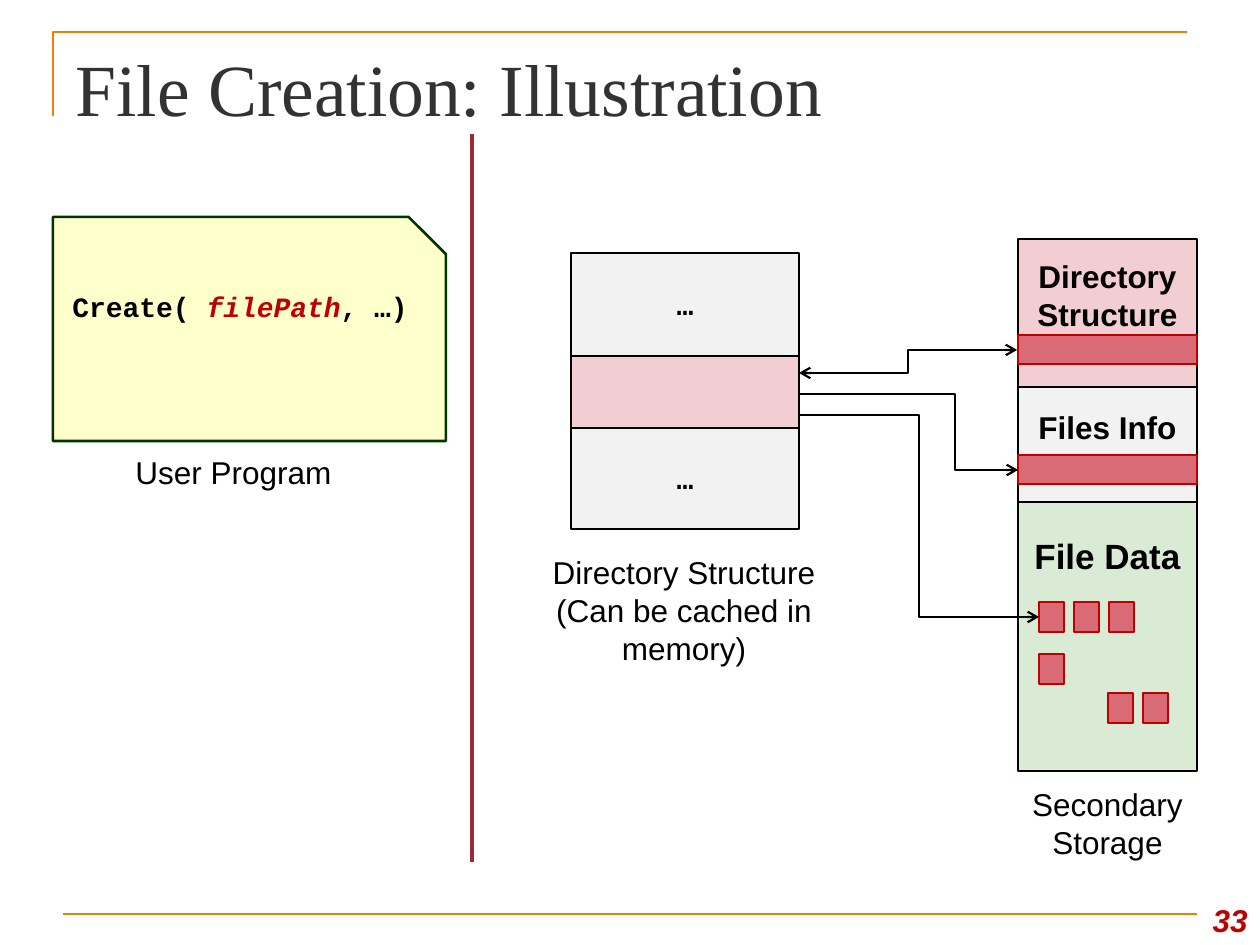
from lxml.etree import SubElement
from pptx import Presentation
from pptx.dml.color import RGBColor
from pptx.enum.shapes import MSO_CONNECTOR, MSO_SHAPE
from pptx.enum.text import MSO_ANCHOR, MSO_AUTO_SIZE, PP_ALIGN
from pptx.oxml.ns import qn
from pptx.util import Emu, Pt

PX = 914400 / 126
BLACK, RED, ORANGE, PINK, GREY = "000000", "C00000", "F07F09", "F2CED2", "F2F2F2"
SANS, MONO, SERIF = "Arial", "Courier New", "Times New Roman"


def px(n):
    """Turn pixels into EMU."""
    return Emu(round(n * PX))


def rgb(value):
    """Turn a hex string into a colour."""
    return RGBColor.from_string(value)


def style(r, size, font=SANS, color=BLACK, bold=False, italic=False):
    """Format one run."""
    f = r.font
    f.size, f.name, f.bold, f.italic = Pt(size), font, bold, italic
    f.color.rgb = rgb(color)


def write(sp, text, size, align=PP_ALIGN.CENTER, anchor=MSO_ANCHOR.TOP, **look):
    """Fill a shape with evenly formatted text."""
    tf = sp.text_frame
    tf.text = text
    tf.word_wrap = True
    tf.vertical_anchor = anchor
    for p in tf.paragraphs:
        p.alignment = align
        for r in p.runs:
            style(r, size, **look)


def add_box(s, x, y, w, h, fill, line=BLACK, weight=0.75, kind=MSO_SHAPE.RECTANGLE):
    """Draw a filled, outlined preset shape."""
    sp = s.shapes.add_shape(kind, px(x), px(y), px(w), px(h))
    sp.shadow.inherit = False
    sp.fill.solid()
    sp.fill.fore_color.rgb = rgb(fill)
    sp.line.color.rgb = rgb(line)
    sp.line.width = Pt(weight)
    return sp


def add_label(s, x, y, w, h, text, **look):
    """Add a free-standing piece of text."""
    write(s.shapes.add_textbox(px(x), px(y), px(w), px(h)), text, 18, **look)


def add_line(s, start, end, color, weight, ends=(), bend=None):
    """Draw a straight line, or an elbow that bends at a share of its width."""
    kind = MSO_CONNECTOR.STRAIGHT if bend is None else MSO_CONNECTOR.ELBOW
    c = s.shapes.add_connector(kind, *map(px, start + end))
    c.line.color.rgb = rgb(color)
    c.line.width = Pt(weight)
    for end_name in ends:
        SubElement(c.line._ln, qn(f"a:{end_name}"), type="arrow")
    SubElement(c._element.spPr, qn("a:effectLst"))
    if bend is not None:
        guides = c._element.spPr.find(qn("a:prstGeom")).get_or_add_avLst()
        SubElement(guides, qn("a:gd"), name="adj1", fmla=f"val {round(bend * 100000)}")


def add_frame(s):
    """Draw the title corner, the footer rule and the page number."""
    fb = s.shapes.build_freeform(53, 116, scale=PX)
    fb.add_line_segments([(53, 32), (1187, 32)], close=False)
    sp = fb.convert_to_shape()
    sp.shadow.inherit = False
    sp.fill.background()
    sp.line.color.rgb = rgb(ORANGE)
    sp.line.width = Pt(1.5)
    add_line(s, (63, 914), (1197, 914), ORANGE, 1.5)
    add_label(s, 1187, 882, 73, 63, "33", align=PP_ALIGN.RIGHT,
              anchor=MSO_ANCHOR.BOTTOM, color=RED, bold=True, italic=True)


def add_title(s, text):
    """Place and format the title placeholder."""
    sp = s.shapes.title
    sp.left, sp.top, sp.width, sp.height = px(63), px(38), px(1134), px(98)
    write(sp, text, 42, PP_ALIGN.LEFT, MSO_ANCHOR.MIDDLE, font=SERIF, color="323232")
    sp.text_frame.auto_size = MSO_AUTO_SIZE.NONE


def add_program(s):
    """Draw the user program card with its call."""
    sp = add_box(s, 53, 217, 393, 224, "FFFFCC", "003300", 1.5,
                 MSO_SHAPE.SNIP_1_RECTANGLE)
    tf = sp.text_frame
    tf.word_wrap = True
    tf.vertical_anchor = MSO_ANCHOR.TOP
    tf.margin_top = px(54)
    p = tf.paragraphs[0]
    p.alignment = PP_ALIGN.CENTER
    for text, color, italic in [("Create( ", BLACK, False), ("filePath", RED, True),
                                (", …)", BLACK, False)]:
        r = p.add_run()
        r.text = text
        style(r, 16, MONO, color, True, italic)
    add_label(s, 89, 447, 289, 50, "User Program")


def add_directory(s):
    """Draw the cached directory table."""
    y = 253
    for h, fill, text in [(103, GREY, "…"), (72, PINK, ""), (101, GREY, "…")]:
        sp = add_box(s, 571, y, 228, h, fill, weight=1.5)
        if text:
            write(sp, text, 16, anchor=MSO_ANCHOR.MIDDLE, font=MONO, bold=True)
        y += h
    add_label(s, 520, 547, 328, 127, "Directory Structure\n(Can be cached in memory)")


def add_storage(s):
    """Draw secondary storage with its entries and data blocks."""
    y = 239
    for h, fill, text, size, inset in [(148, PINK, "Directory Structure", 18, 18),
                                       (115, GREY, "Files Info", 18, 21),
                                       (269, "D9EAD5", "File Data", 20, 32)]:
        sp = add_box(s, 1018, y, 179, h, fill)
        write(sp, text, size, bold=True)
        sp.text_frame.margin_top = px(inset)
        y += h
    entries = [(1018, y, 179, 29) for y in (335, 455)]
    blocks = [(x + 35 * i, y, 25, 30)
              for x, y, n in [(1039, 602, 3), (1039, 654, 1), (1108, 693, 2)]
              for i in range(n)]
    for place in entries + blocks:
        add_box(s, *place, "D96B77", RED)
    add_label(s, 963, 779, 289, 89, "Secondary\nStorage")


def add_links(s):
    """Connect the directory entry with storage."""
    for start, end, ends, bend in [
            ((799, 373), (1017, 350), ("headEnd", "tailEnd"), 0.5),
            ((800, 394), (1018, 470), ("tailEnd",), 0.71),
            ((800, 415), (1039, 617), ("tailEnd",), 0.5)]:
        add_line(s, start, end, BLACK, 1.25, ends, bend)


def main():
    """Build the slide and save it."""
    prs = Presentation()
    prs.slide_width, prs.slide_height = px(1260), px(945)
    s = prs.slides.add_slide(prs.slide_layouts[5])
    add_frame(s)
    add_title(s, "File Creation: Illustration")
    add_line(s, (472, 134), (472, 862), "9F2936", 2.25)
    add_program(s)
    add_directory(s)
    add_storage(s)
    add_links(s)
    prs.save("out.pptx")


if __name__ == "__main__":
    main()
